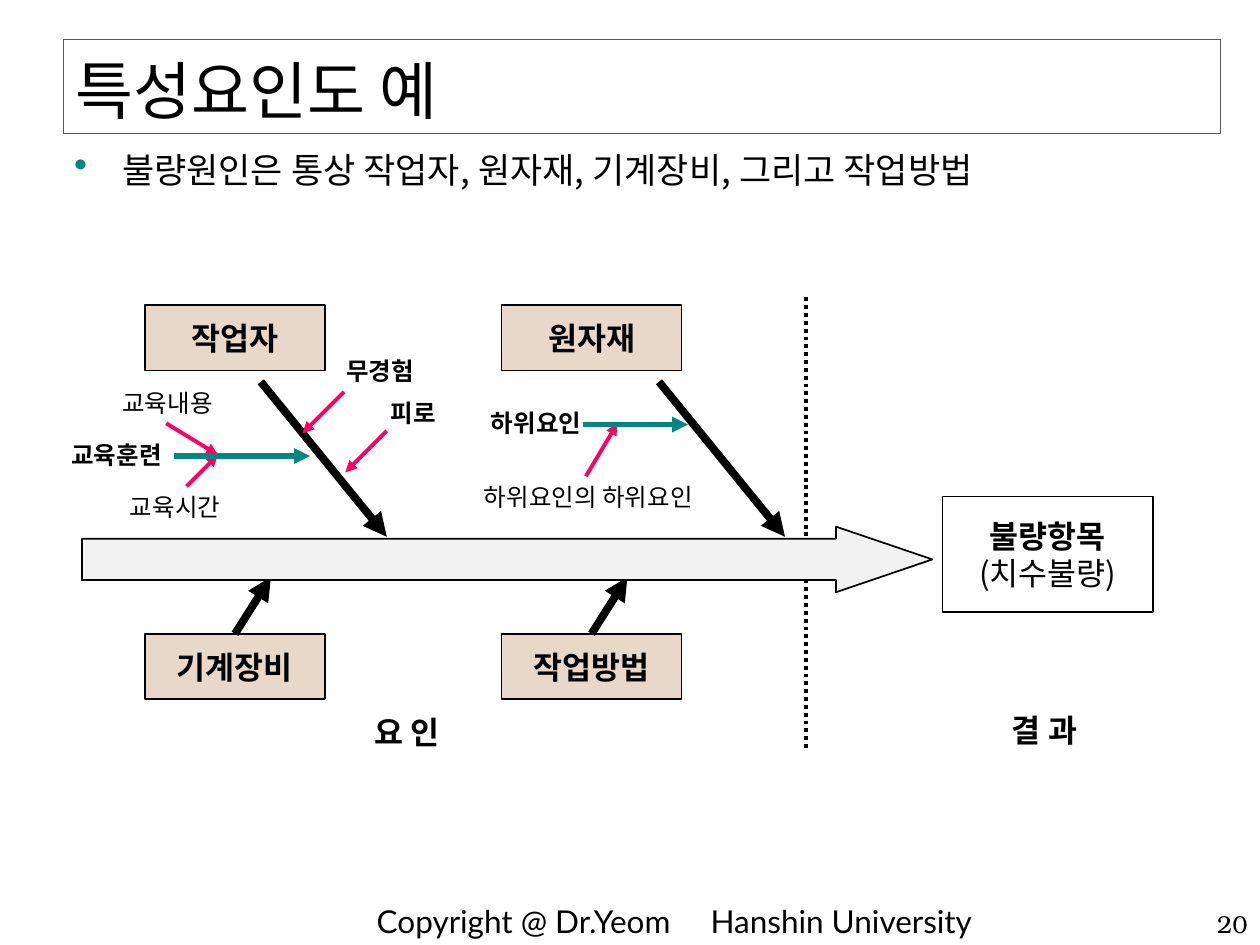
from pptx import Presentation
from pptx.dml.color import RGBColor
from pptx.enum.dml import MSO_LINE
from pptx.enum.shapes import MSO_CONNECTOR, MSO_SHAPE
from pptx.enum.text import MSO_ANCHOR, PP_ALIGN
from pptx.oxml.ns import qn
from pptx.util import Inches, Pt
from lxml.etree import SubElement

THEME = {
    "korean": "Noto Sans CJK KR", "footer": "Lato", "number": "TeX Gyre Bonum",
    "black": "000000", "white": "FFFFFF", "frame": "595959", "category": "E8D8CA",
    "spine": "F2F2F2", "teal": "008685", "pink": "FF0066",
    "title_size": 36, "body_size": 20, "box_size": 18, "factor_size": 14,
}

TITLE = "특성요인도 예"
BODY = "불량원인은 통상 작업자, 원자재, 기계장비, 그리고 작업방법"
FOOTER = "Copyright @ Dr.Yeom\tHanshin University"
PAGE_NUMBER = "20"

COLUMNS = (1.15, 3.98)
CATEGORY_SIZE = (1.43, 0.52)
UPPER_TOP, LOWER_TOP = 2.42, 5.03
UPPER_CATEGORIES = ("작업자", "원자재")
LOWER_CATEGORIES = ("기계장비", "작업방법")
UPPER_BONE_STARTS = (2.07, 5.23)
RESULT = ("불량항목", "(치수불량)")

# text, (left, top, width, height), bold, size
LABELS = [
    ("교육훈련", (0.43, 3.44, 0.99, 0.34), True, "factor_size"),
    ("교육내용", (0.84, 3.03, 0.98, 0.33), False, "factor_size"),
    ("교육시간", (0.9, 3.86, 0.98, 0.33), False, "factor_size"),
    ("무경험", (2.62, 2.78, 0.79, 0.34), True, "factor_size"),
    ("피로", (2.98, 3.11, 0.6, 0.34), True, "factor_size"),
    ("하위요인", (3.76, 3.19, 0.99, 0.34), True, "factor_size"),
    ("하위요인의 하위요인", (3.65, 3.78, 2.04, 0.34), False, "factor_size"),
    ("요 인", (2.83, 5.61, 0.8, 0.4), True, "box_size"),
    ("결 과", (7.89, 5.59, 0.8, 0.4), True, "box_size"),
]

# start, end
CAUSE_ARROWS = [
    ((1.32, 3.36), (1.73, 3.61)),
    ((1.48, 3.86), (1.73, 3.61)),
    ((2.73, 3.11), (2.4, 3.44)),
    ((3.07, 3.42), (2.74, 3.75)),
    ((4.65, 3.78), (4.9, 3.36)),
]
FACTOR_ARROWS = [((1.38, 3.62), (2.46, 3.62)), ((4.63, 3.37), (5.46, 3.37))]


def color(name):
    return RGBColor.from_string(THEME[name])


def write(box, text, size, bold=False, font="korean", align=PP_ALIGN.CENTER,
          anchor=MSO_ANCHOR.MIDDLE, wrap=False, new_paragraph=False):
    """Write one paragraph into a shape and return it."""
    frame = box.text_frame
    frame.word_wrap = wrap
    frame.vertical_anchor = anchor
    paragraph = frame.add_paragraph() if new_paragraph else frame.paragraphs[0]
    paragraph.alignment = align
    span = paragraph.add_run()
    span.text = text
    span.font.size = Pt(size)
    span.font.bold = bold
    span.font.name = THEME[font]
    span.font.color.rgb = color("black")
    SubElement(span.font._element, qn("a:ea")).set("typeface", THEME[font])
    return paragraph


def add_text(page, place, text, size, **style):
    box = page.shapes.add_textbox(*map(Inches, place))
    return box, write(box, text, size, **style)


def add_box(page, place, fill=None, line="black", width=1, preset=MSO_SHAPE.RECTANGLE):
    box = page.shapes.add_shape(preset, *map(Inches, place))
    box.shadow.inherit = False
    if fill:
        box.fill.solid()
        box.fill.fore_color.rgb = color(fill)
    else:
        box.fill.background()
    box.line.color.rgb = color(line)
    box.line.width = Pt(width)
    return box


def add_line(page, start, end, line, width, arrow=True, dash=None, source=None):
    """Draw a straight line; source is an optional (shape, site) to join at the start."""
    connector = page.shapes.add_connector(
        MSO_CONNECTOR.STRAIGHT, *map(Inches, (*start, *end)))
    if source:
        connector.begin_connect(*source)
    connector.line.color.rgb = color(line)
    connector.line.width = Pt(width)
    if dash:
        connector.line.dash_style = dash
    properties = connector._element.spPr
    if arrow:
        SubElement(properties.find(qn("a:ln")), qn("a:tailEnd")).set("type", "triangle")
    SubElement(properties, qn("a:effectLst"))


def add_bullet(paragraph, indent):
    properties = paragraph._p.get_or_add_pPr()
    properties.set("marL", str(Inches(indent)))
    properties.set("indent", str(-Inches(indent)))
    bullet_color = SubElement(properties, qn("a:buClr"))
    SubElement(bullet_color, qn("a:srgbClr")).set("val", THEME["teal"])
    SubElement(properties, qn("a:buSzPct")).set("val", "110000")
    SubElement(properties, qn("a:buChar")).set("char", "•")


def add_tab_stop(paragraph, position):
    stops = SubElement(paragraph._p.get_or_add_pPr(), qn("a:tabLst"))
    stop = SubElement(stops, qn("a:tab"))
    stop.set("pos", str(Inches(position)))
    stop.set("algn", "l")


def add_frame_text(page):
    title = add_box(page, (0.5, 0.31, 9.18, 0.75), line="frame", width=0.1)
    write(title, TITLE, THEME["title_size"], align=PP_ALIGN.LEFT,
          anchor=MSO_ANCHOR.BOTTOM, wrap=True)
    _, body = add_text(page, (0.49, 1.13, 9.15, 5.96), BODY, THEME["body_size"],
                       align=PP_ALIGN.LEFT, anchor=MSO_ANCHOR.TOP, wrap=True)
    add_bullet(body, 0.38)
    footer_box, footer = add_text(page, (1.95, 7.11, 6.8, 0.39), FOOTER,
                                  THEME["box_size"], font="footer",
                                  align=PP_ALIGN.LEFT, wrap=True)
    footer_box.text_frame.margin_left = Inches(1.04)
    add_tab_stop(footer, 2.65)
    add_text(page, (8.83, 7.17, 1.17, 0.33), PAGE_NUMBER, THEME["factor_size"],
             font="number", align=PP_ALIGN.RIGHT, anchor=MSO_ANCHOR.BOTTOM, wrap=True)


def add_categories(page):
    width, height = CATEGORY_SIZE
    for left, upper, lower, bone in zip(
            COLUMNS, UPPER_CATEGORIES, LOWER_CATEGORIES, UPPER_BONE_STARTS):
        for top, text in ((UPPER_TOP, upper), (LOWER_TOP, lower)):
            box = add_box(page, (left, top, width, height), "category")
            write(box, text, THEME["box_size"], bold=True)
        add_line(page, (left + width / 2, LOWER_TOP), (left + 1, 4.58),
                 "black", 4.5, source=(box, 0))
        add_line(page, (bone, 3.03), (bone + 1, 4.26), "black", 4.5)


def add_spine_and_result(page):
    add_line(page, (6.4, 2.36), (6.4, 5.94), "black", 2.25,
             arrow=False, dash=MSO_LINE.ROUND_DOT)
    result = add_box(page, (7.48, 3.94, 1.67, 0.92), "white")
    for index, text in enumerate(RESULT):
        write(result, text, THEME["box_size"], bold=index == 0, new_paragraph=index > 0)
    spine = add_box(page, (0.65, 4.18, 6.75, 0.52), "spine", preset=MSO_SHAPE.RIGHT_ARROW)
    spine.adjustments[0], spine.adjustments[1] = 0.63, 1.47


def main():
    deck = Presentation()
    deck.slide_width, deck.slide_height = Inches(10), Inches(7.5)
    page = deck.slides.add_slide(deck.slide_layouts[6])
    add_frame_text(page)
    add_categories(page)
    for start, end in CAUSE_ARROWS:
        add_line(page, start, end, "pink", 2.25)
    add_spine_and_result(page)
    for text, place, bold, size in LABELS:
        add_text(page, place, text, THEME[size], bold=bold, anchor=MSO_ANCHOR.TOP)
    for start, end in FACTOR_ARROWS:
        add_line(page, start, end, "teal", 3)
    deck.save("out.pptx")


if __name__ == "__main__":
    main()
